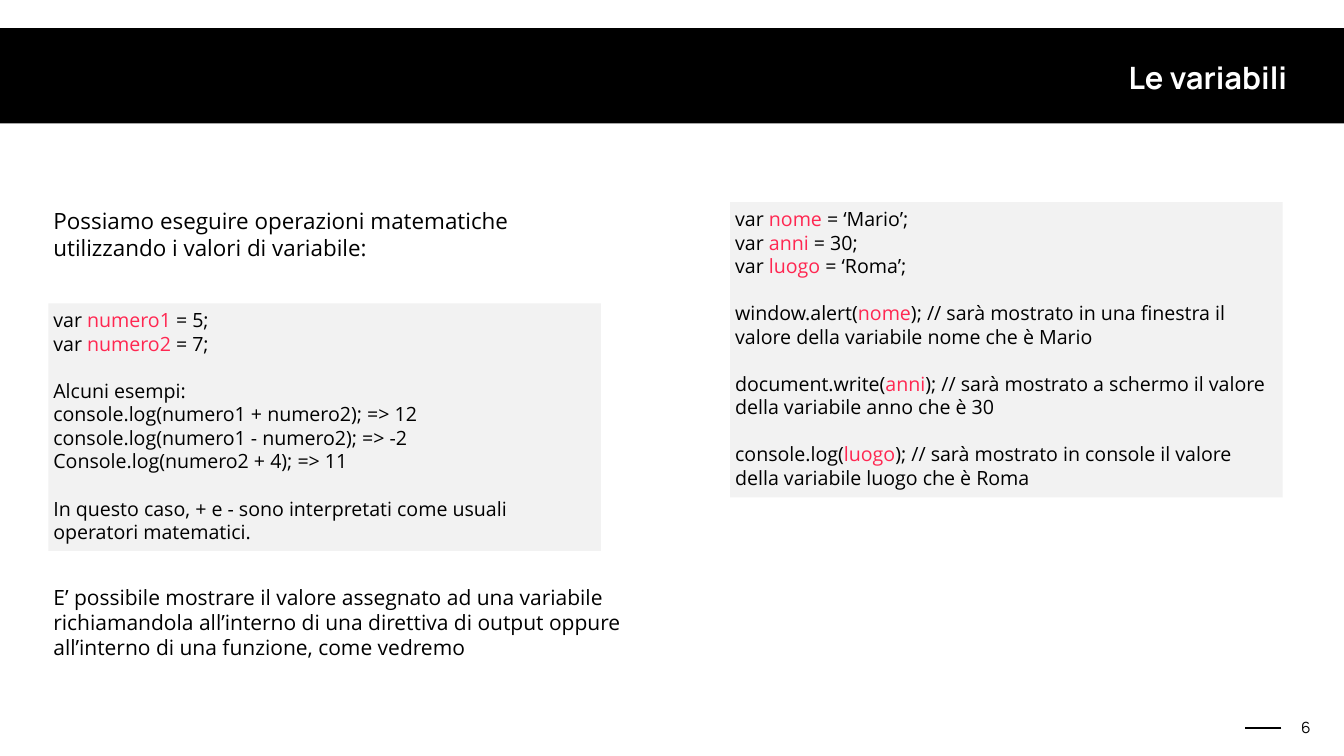
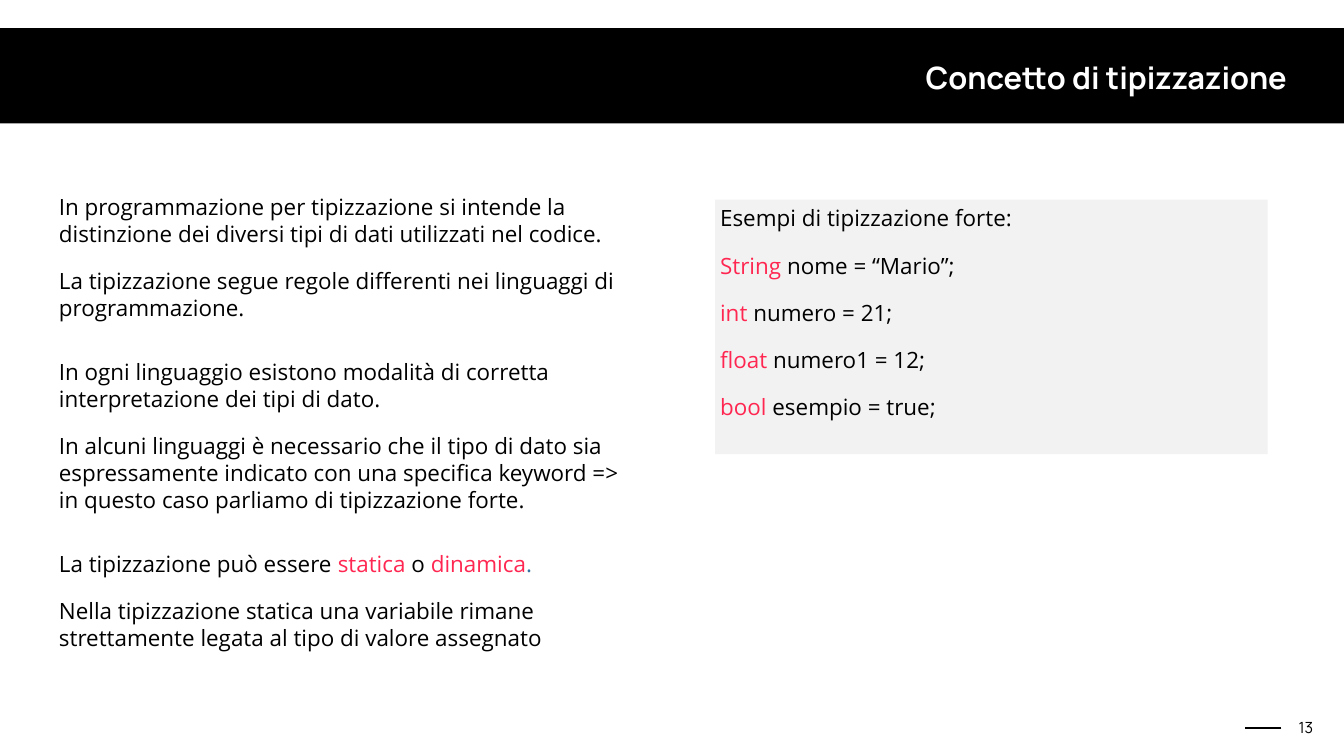
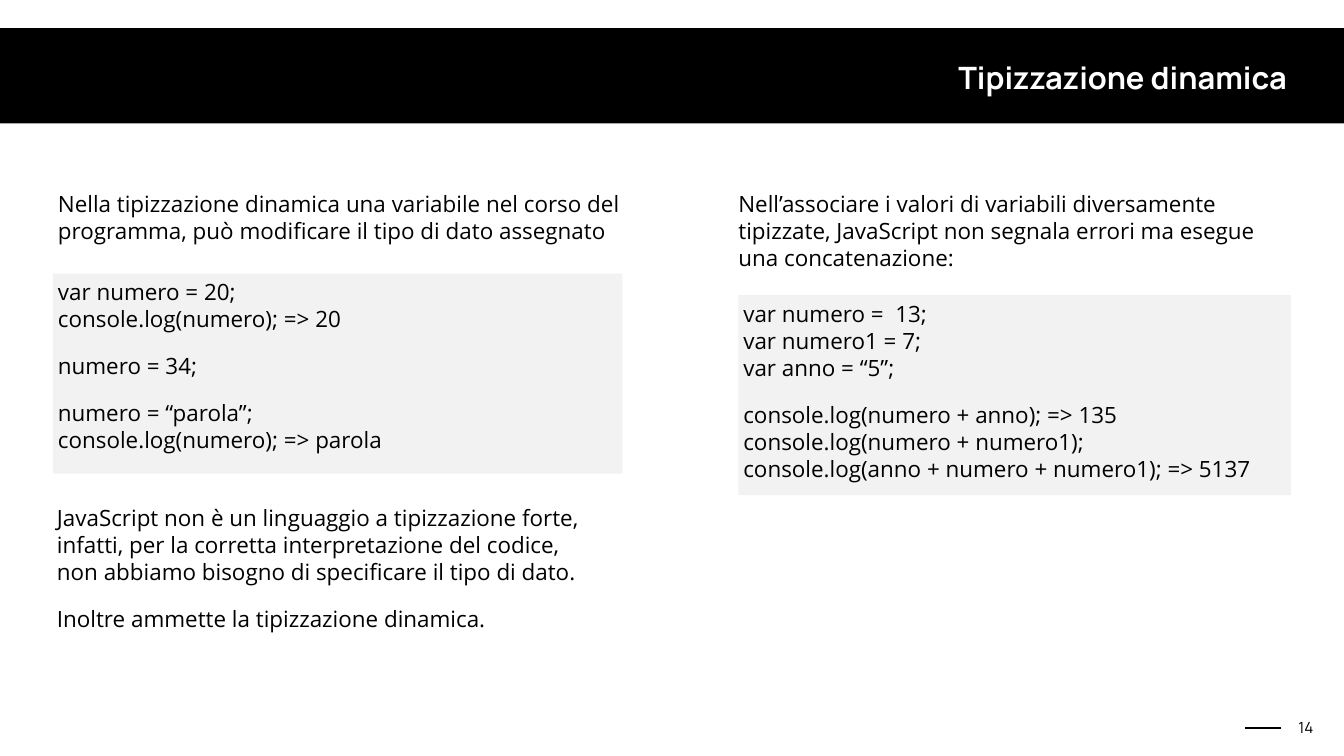
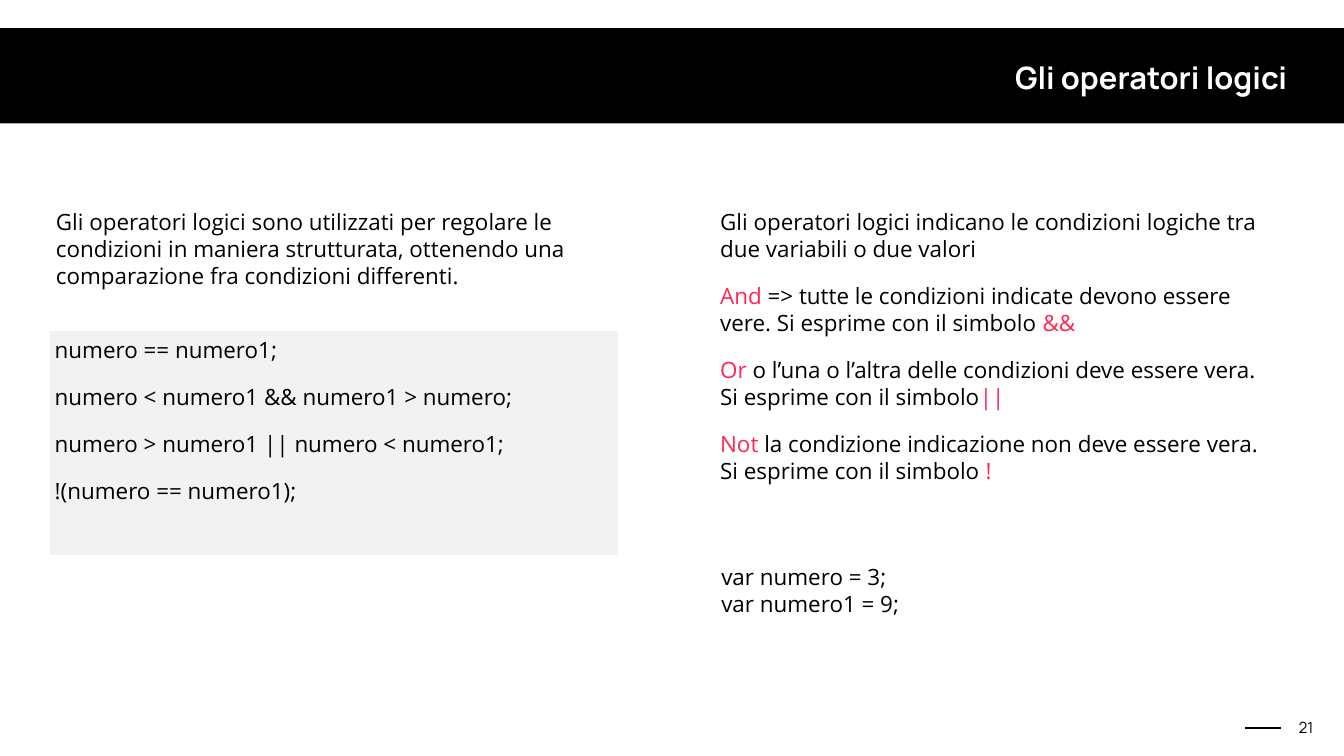
"""Builds four slides of a JavaScript lesson: variables, typing and logical operators."""
from dataclasses import dataclass

import pptx
import pptx.dml.color
import pptx.enum.shapes
import pptx.enum.text
import pptx.oxml.ns
import pptx.util
from lxml import etree

Cm = pptx.util.Cm
Pt = pptx.util.Pt
ALIGN = pptx.enum.text.PP_ALIGN
ANCHOR = pptx.enum.text.MSO_ANCHOR

BLACK, WHITE, CODE_GREY = "000000", "FFFFFF", "F2F2F2"
ACCENT, BLUE = "FF2751", "3672A3"
BODY_FONT, TITLE_FONT = "Open Sans", "Manrope"
LINE_HEIGHT = 1.2
GAP_SIZE = {28: 28, 30: 24, 32: 24}
WIDE_INSET, THIN_INSET = 0.25, 0.15
TITLE_AT = (14.96, 2.79, 50.06, 2.16)
NUMBER_AT = (65.18, 36.07, 1.27, 1.22)


@dataclass(frozen=True)
class Box:
    """A text panel; blank lines part blocks, *accent* and ~blue~ mark runs."""
    at: tuple[float, float, float, float]
    text: str
    fill: str | None = WHITE
    size: int = 32


@dataclass(frozen=True)
class Page:
    """A slide with its title, printed number and panels."""
    title: str
    number: int
    boxes: tuple[Box, ...]


PAGES = (
    Page("Le variabili", 6, (
        Box((2.44, 29.21, 31.5, 4.37),
            "E’ possibile mostrare il valore assegnato ad una variabile "
            "richiamandola all’interno di una direttiva di output oppure\n"
            "all’interno di una funzione, come vedremo", size=30),
        Box((36.8, 10.19, 27.84, 14.88),
            "var *nome* = ‘Mario’;\n"
            "var *anni* = 30;\n"
            "var *luogo* = ‘Roma’;\n\n"
            "window.alert(*nome*); // sarà mostrato in una finestra il valore "
            "della variabile nome che è Mario\n\n"
            "document.write(*anni*); // sarà mostrato a schermo il valore "
            "della variabile anno che è 30\n\n"
            "console.log(*luogo*); // sarà mostrato in console il valore "
            "della variabile luogo che è Roma", CODE_GREY, 28),
        Box((2.44, 10.19, 27.84, 3.68),
            "Possiamo eseguire operazioni matematiche utilizzando i valori di variabile:"),
        Box((2.44, 15.29, 27.84, 12.47),
            "var *numero1* = 5;\n"
            "var *numero2* = 7;\n\n"
            "Alcuni esempi:\n"
            "console.log(numero1 + numero2); => 12\n"
            "console.log(numero1 - numero2); => -2\n"
            "Console.log(numero2 + 4); => 11\n\n"
            "In questo caso, + e - sono interpretati come usuali operatori matematici.",
            CODE_GREY, 28),
    )),
    Page("Concetto di tipizzazione", 13, (
        Box((2.72, 9.5, 28.78, 7.34),
            "In programmazione per tipizzazione si intende la distinzione dei "
            "diversi tipi di dati utilizzati nel codice.\n\n"
            "La tipizzazione segue regole differenti nei linguaggi di programmazione."),
        Box((36.04, 10.06, 27.84, 12.83),
            "Esempi di tipizzazione forte:\n\n"
            "*String* nome = “Mario”;\n\n"
            "*int* numero = 21;\n\n"
            "*float* numero1 = 12;\n\n"
            "*bool* esempio = true;", CODE_GREY),
        Box((2.72, 17.81, 28.78, 8.71),
            "In ogni linguaggio esistono modalità di corretta interpretazione "
            "dei tipi di dato.\n\n"
            "In alcuni linguaggi è necessario che il tipo di dato sia "
            "espressamente indicato con una specifica keyword => in questo caso "
            "parliamo di tipizzazione forte."),
        Box((2.72, 27.46, 27.84, 5.99),
            "La tipizzazione può essere *statica* o *dinamica*~.~\n\n"
            "Nella tipizzazione statica una variabile rimane strettamente "
            "legata al tipo di valore assegnato"),
    )),
    Page("Tipizzazione dinamica", 14, (
        Box((2.67, 9.35, 29.59, 3.25),
            "Nella tipizzazione dinamica una variabile nel corso del programma, "
            "può modificare il tipo di dato assegnato"),
        Box((36.96, 9.35, 27.84, 4.62),
            "Nell’associare i valori di variabili diversamente tipizzate, "
            "JavaScript non segnala errori ma esegue una concatenazione:"),
        Box((2.67, 13.79, 28.7, 10.08),
            "var numero = 20;\n"
            "console.log(numero); => 20\n\n"
            "numero = 34;\n\n"
            "numero = “parola”;\n"
            "console.log(numero); => parola", CODE_GREY),
        Box((2.62, 25.15, 27.84, 7.34),
            "JavaScript non è un linguaggio a tipizzazione forte, infatti, per la "
            "corretta interpretazione del codice, non abbiamo bisogno di "
            "specificare il tipo di dato.\n\n"
            "Inoltre ammette la tipizzazione dinamica."),
        Box((37.21, 14.88, 27.84, 10.08),
            "var numero =  13;\n"
            "var numero1 = 7;\n"
            "var anno = “5”;\n\n"
            "console.log(numero + anno); => 135\n"
            "console.log(numero + numero1);\n"
            "console.log(anno + numero + numero1); => 5137", CODE_GREY),
    )),
    Page("Gli operatori logici", 21, (
        Box((36.04, 10.24, 28.63, 15.57),
            "Gli operatori logici indicano le condizioni logiche tra due "
            "variabili o due valori\n\n"
            "*And* => tutte le condizioni indicate devono essere vere. "
            "Si esprime con il simbolo *&&*\n\n"
            "*Or* o l’una o l’altra delle condizioni deve essere vera. "
            "Si esprime con il simbolo*||*\n\n"
            "*Not* la condizione indicazione non deve essere vera. "
            "Si esprime con il simbolo *!*"),
        Box((2.57, 10.24, 28.63, 5.21),
            "Gli operatori logici sono utilizzati per regolare le condizioni in "
            "maniera strutturata, ottenendo una comparazione fra condizioni differenti."),
        Box((2.51, 16.69, 28.63, 11.28),
            "numero == numero1;\n\n"
            "numero < numero1 && numero1 > numero;\n\n"
            "numero > numero1 || numero < numero1;\n\n"
            "!(numero == numero1);", CODE_GREY),
        Box((36.2, 28.22, 9.35, 3.02),
            "var numero = 3;\nvar numero1 = 9;", None),
    )),
)


def rgb(colour: str) -> pptx.dml.color.RGBColor:
    """Turn a hex string into a colour."""
    return pptx.dml.color.RGBColor.from_string(colour)


def add_rect(slide, at: tuple[float, ...], fill: str):
    """Draw a plain filled rectangle."""
    sp = slide.shapes.add_shape(pptx.enum.shapes.MSO_SHAPE.RECTANGLE, *map(Cm, at))
    sp.shadow.inherit = False
    sp.fill.solid()
    sp.fill.fore_color.rgb = rgb(fill)
    sp.line.fill.background()
    return sp


def set_frame(tf, inset: float, anchor, wrap: bool = True) -> None:
    """Set the insets, anchor and wrapping of a text frame."""
    tf.margin_left = tf.margin_right = tf.margin_top = tf.margin_bottom = Cm(inset)
    tf.vertical_anchor = anchor
    tf.word_wrap = wrap
    tf.auto_size = pptx.enum.text.MSO_AUTO_SIZE.NONE


def set_paragraph(p, align, size: float, gap: float = 0) -> None:
    """Set alignment, line height and the space above a paragraph."""
    p.alignment = align
    p.line_spacing = Pt(size * LINE_HEIGHT)
    p.space_before = Pt(gap * LINE_HEIGHT)


def add_run(p, text: str, font: str, size: float, colour: str, bold: bool = False) -> None:
    """Append one formatted run."""
    r = p.add_run()
    r.text = text
    r.font.name = font
    r.font.size = Pt(size)
    r.font.bold = bold
    r.font.color.rgb = rgb(colour)


def add_marked_runs(p, line: str, size: float) -> None:
    """Append a line run by run, following its colour marks."""
    for i, part in enumerate(line.split("~")):
        for j, piece in enumerate(part.split("*")):
            if piece:
                colour = BLUE if i % 2 else ACCENT if j % 2 else BLACK
                add_run(p, piece, BODY_FONT, size, colour)


def add_box(slide, box: Box) -> None:
    """Draw a panel with its blocks of text."""
    if box.fill:
        tf = add_rect(slide, box.at, box.fill).text_frame
        set_frame(tf, WIDE_INSET, ANCHOR.TOP)
    else:
        tf = slide.shapes.add_textbox(*map(Cm, box.at)).text_frame
        set_frame(tf, THIN_INSET, ANCHOR.MIDDLE, wrap=False)
    p = tf.paragraphs[0]
    for b, block in enumerate(box.text.split("\n\n")):
        for n, line in enumerate(block.split("\n")):
            if b or n:
                p = tf.add_paragraph()
            gap = GAP_SIZE[box.size] if b and not n else 0
            set_paragraph(p, ALIGN.LEFT, box.size, gap)
            add_marked_runs(p, line, box.size)


def set_title(slide, text: str) -> None:
    """Place and format the title placeholder."""
    sp = slide.shapes.title
    sp.left, sp.top, sp.width, sp.height = map(Cm, TITLE_AT)
    set_frame(sp.text_frame, THIN_INSET, ANCHOR.MIDDLE)
    p = sp.text_frame.paragraphs[0]
    set_paragraph(p, ALIGN.RIGHT, 44)
    add_run(p, text, TITLE_FONT, 44, WHITE, bold=True)


def add_number(slide, number: int) -> None:
    """Write the page number beside the footer rule."""
    tf = slide.shapes.add_textbox(*map(Cm, NUMBER_AT)).text_frame
    set_frame(tf, THIN_INSET, ANCHOR.BOTTOM, wrap=False)
    p = tf.paragraphs[0]
    set_paragraph(p, ALIGN.CENTER, 22)
    add_run(p, str(number), TITLE_FONT, 22, BLACK)


def furnish_layout(layout, slide) -> None:
    """Draw the title band and footer rule and move them to the layout."""
    band = add_rect(slide, (-0.53, 1.42, 68.78, 4.8), BLACK)
    rule = slide.shapes.add_connector(
        pptx.enum.shapes.MSO_CONNECTOR.STRAIGHT, Cm(64.57), Cm(36.68), Cm(62.76), Cm(36.68))
    rule.line.color.rgb = rgb(BLACK)
    rule.line.width = Pt(2)
    etree.SubElement(rule.element.spPr, pptx.oxml.ns.qn("a:effectLst"))
    for sp in (rule, band):
        layout.shapes.element.insert(2, sp.element)


def main() -> None:
    """Build and save the presentation."""
    prs = pptx.Presentation()
    prs.slide_width, prs.slide_height = Cm(67.73), Cm(38.1)
    layout = prs.slide_layouts.get_by_name("Title Only")
    for i, page in enumerate(PAGES):
        slide = prs.slides.add_slide(layout)
        if i == 0:
            furnish_layout(layout, slide)
        for box in page.boxes:
            add_box(slide, box)
        add_number(slide, page.number)
        set_title(slide, page.title)
    prs.save("out.pptx")


if __name__ == "__main__":
    main()
